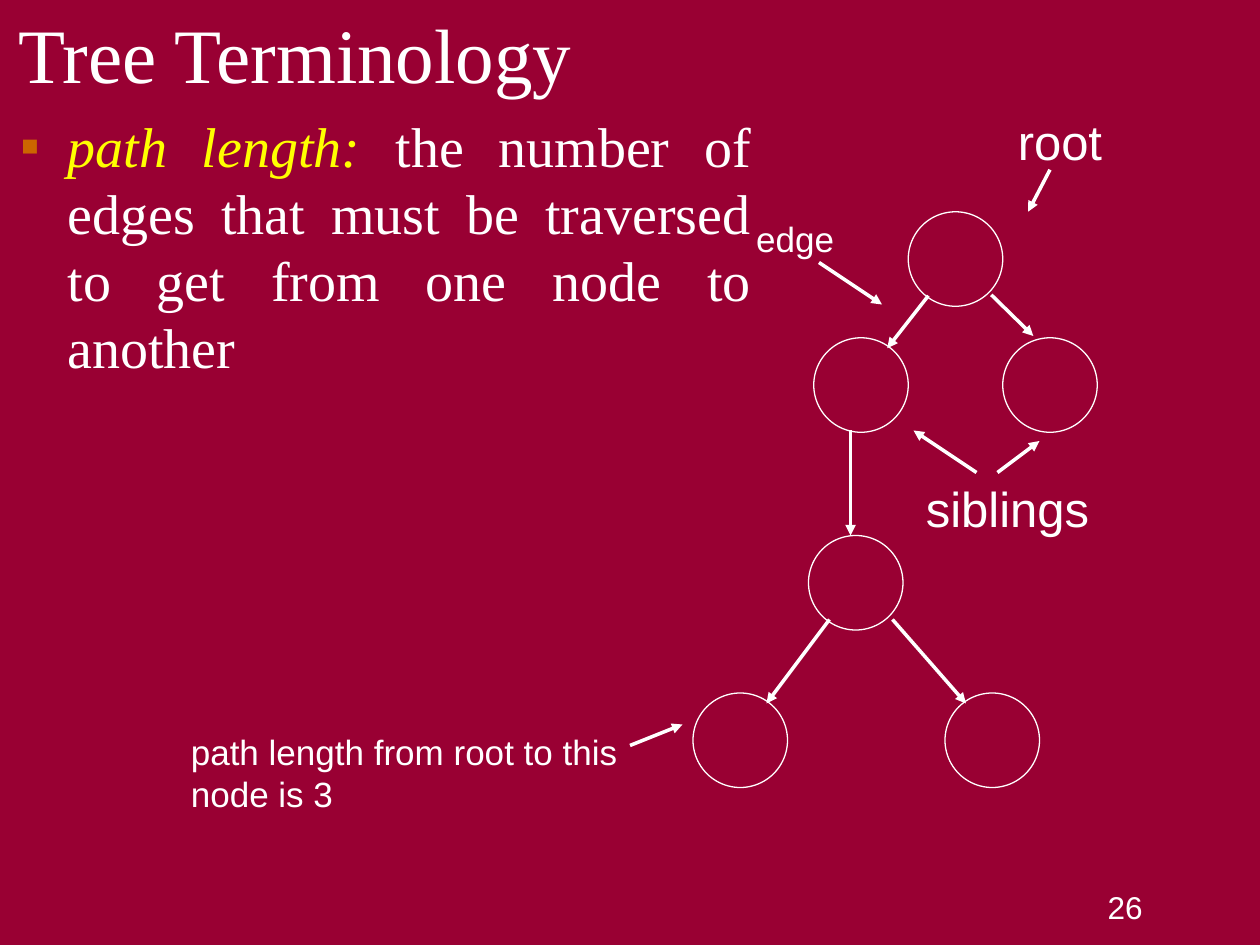
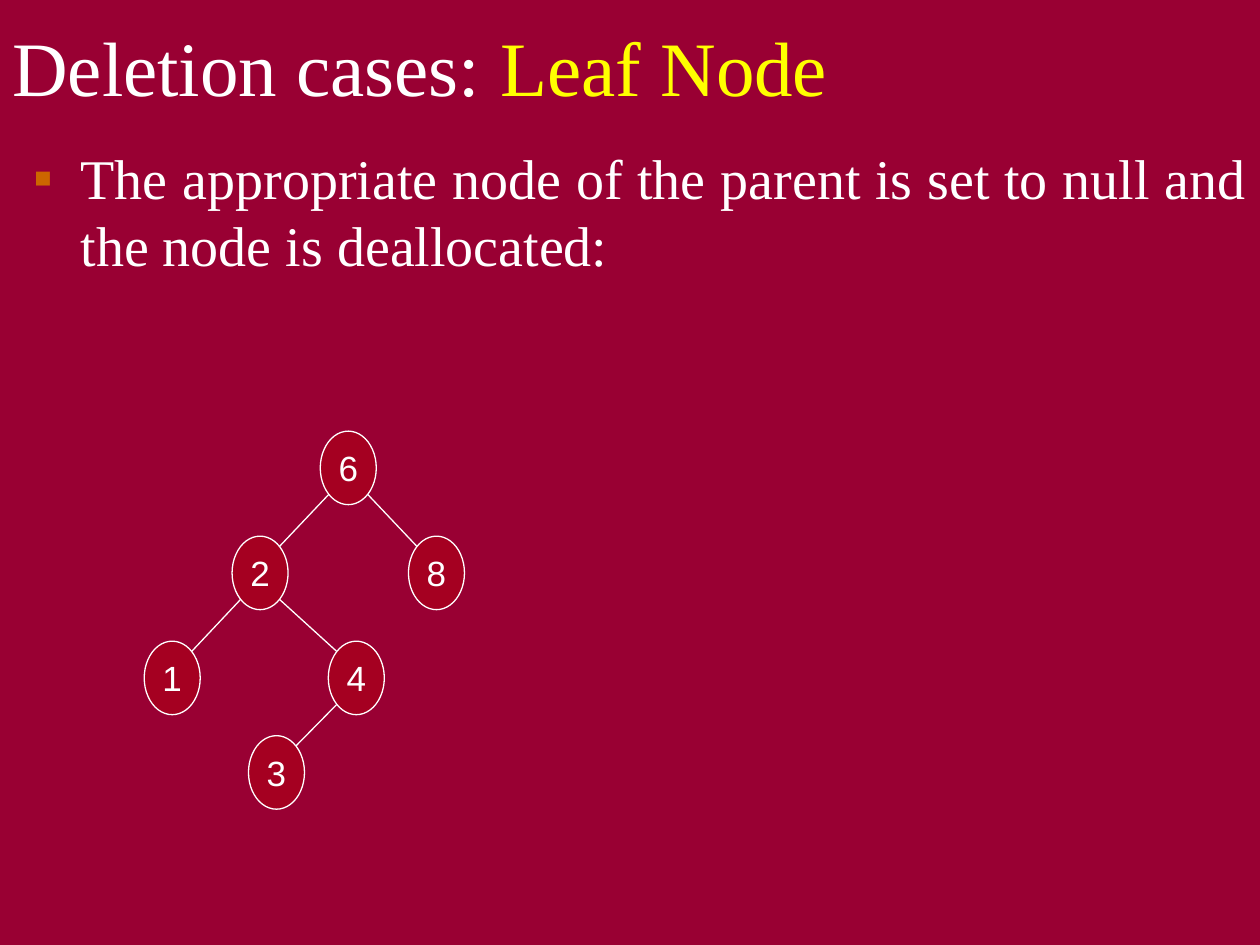
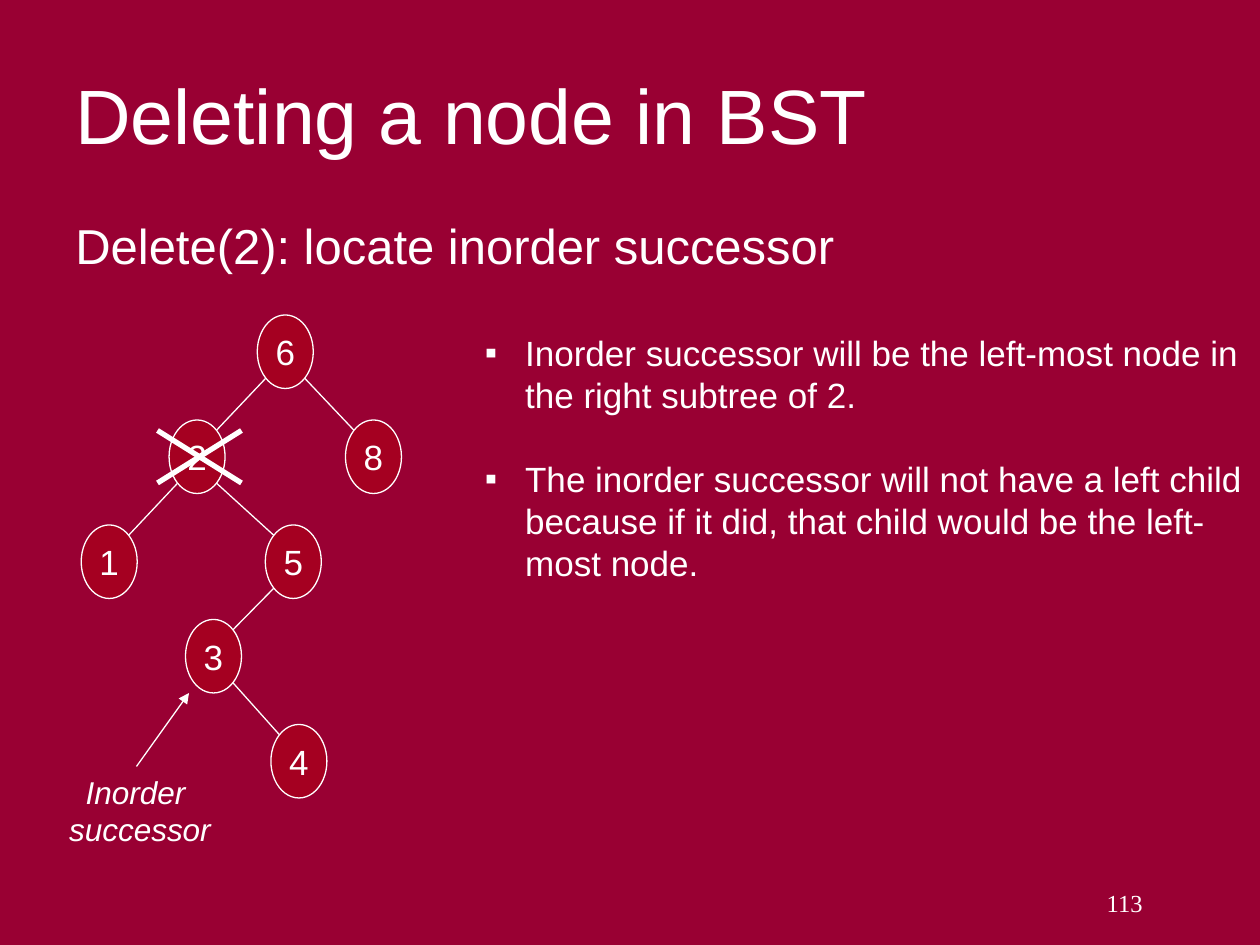
from lxml.etree import SubElement
from pptx import Presentation
from pptx.dml.color import RGBColor
from pptx.enum.shapes import MSO_CONNECTOR, MSO_SHAPE
from pptx.enum.text import MSO_ANCHOR, PP_ALIGN
from pptx.oxml.ns import qn
from pptx.util import Pt

MAROON, RED, WHITE = "990033", "A50021", "FFFFFF"
YELLOW, ORANGE = "FFFF00", "CC6600"
SANS, SERIF = "Arial", "Times New Roman"
NODE_W, NODE_H = 32, 42
EDGE_INSET_X, EDGE_INSET_Y = 5, 6
CIRCLE = 54


def color(value):
    return RGBColor.from_string(value)


def add_bullet(paragraph, bullet_color):
    props = paragraph._p.get_or_add_pPr()
    fill = SubElement(props, qn("a:buClr"))
    SubElement(fill, qn("a:srgbClr"), val=bullet_color)
    SubElement(props, qn("a:buFont"), typeface=SANS)
    SubElement(props, qn("a:buChar"), char="▪")


def write(frame, paragraphs, size=20, font=SANS, align=PP_ALIGN.LEFT, anchor=MSO_ANCHOR.TOP,
          italic=False, hang=0, bullet=None, gap=0, spacing=1.0):
    """Each paragraph is a string or a list of (text, format) runs; "\\n" breaks a line."""
    frame.word_wrap = True
    frame.vertical_anchor = anchor
    if isinstance(paragraphs, str):
        paragraphs = [paragraphs]
    for index, runs in enumerate(paragraphs):
        paragraph = frame.paragraphs[0] if index == 0 else frame.add_paragraph()
        paragraph.alignment = align
        paragraph.line_spacing = spacing
        if index:
            paragraph.space_before = Pt(gap)
        if hang:
            props = paragraph._p.get_or_add_pPr()
            props.set("marL", str(Pt(hang)))
            props.set("indent", str(-Pt(hang)))
        if bullet:
            add_bullet(paragraph, bullet)
        for text, style in [(runs, {})] if isinstance(runs, str) else runs:
            for number, line in enumerate(text.split("\n")):
                if number:
                    paragraph.add_line_break()
                run = paragraph.add_run()
                run.text = line
                run.font.size = Pt(size)
                run.font.name = font
                run.font.italic = style.get("italic", italic)
                run.font.color.rgb = color(style.get("color", WHITE))


def add_text(slide, box, paragraphs, **style):
    label = slide.shapes.add_textbox(*map(Pt, box))
    write(label.text_frame, paragraphs, **style)


def add_title(slide, box, title, font=SERIF):
    add_text(slide, box, [title], size=44, font=font, anchor=MSO_ANCHOR.MIDDLE)


def add_definition(slide, box, runs):
    add_text(slide, box, [runs], size=32, font=SERIF, align=PP_ALIGN.JUSTIFY,
             hang=27, bullet=ORANGE)


def add_page_number(slide, number, **style):
    add_text(slide, (510, 504, 150, 36), number, align=PP_ALIGN.RIGHT, **style)


def add_line(slide, start, end, width=0.75, arrow=False):
    line = slide.shapes.add_connector(MSO_CONNECTOR.STRAIGHT, *map(Pt, (*start, *end)))
    line.line.color.rgb = color(WHITE)
    line.line.width = Pt(width)
    if arrow:
        SubElement(line.line._get_or_add_ln(), qn("a:tailEnd"), type="triangle")
    SubElement(line._element.spPr, qn("a:effectLst"))


def add_ellipse(slide, box, fill=None):
    ellipse = slide.shapes.add_shape(MSO_SHAPE.OVAL, *map(Pt, box))
    ellipse.shadow.inherit = False
    if fill:
        ellipse.fill.solid()
        ellipse.fill.fore_color.rgb = color(fill)
    else:
        ellipse.fill.background()
    ellipse.line.color.rgb = color(WHITE)
    ellipse.line.width = Pt(0.75)
    return ellipse


def add_search_tree(slide, left, top, nodes, edges):
    """Place numbered nodes relative to the root's corner and join parents to children."""
    for parent, child in edges:
        (px, py), (cx, cy) = nodes[parent], nodes[child]
        near, far = EDGE_INSET_X, NODE_W - EDGE_INSET_X
        from_x, to_x = (near, far) if cx < px else (far, near)
        add_line(slide, (left + px + from_x, top + py + NODE_H - EDGE_INSET_Y),
                 (left + cx + to_x, top + cy + EDGE_INSET_Y))
    for key, (x, y) in nodes.items():
        node = add_ellipse(slide, (left + x, top + y, NODE_W, NODE_H), RED)
        frame = node.text_frame
        frame.margin_left = frame.margin_right = frame.margin_top = frame.margin_bottom = 0
        write(frame, key, align=PP_ALIGN.CENTER, anchor=MSO_ANCHOR.MIDDLE)


def add_terminology_tree(slide, left, top):
    # Nodes
    for x, y in [(417, 61), (363, 133), (471, 133), (360, 246), (294, 336), (438, 336)]:
        add_ellipse(slide, (left + x, top + y, CIRCLE, CIRCLE))
    # Tree edges, then pointers from the labels
    arrows = [
        (428.5, 109, 405, 139), (464.5, 108.5, 488.5, 132), (384, 186, 384, 246),
        (372, 294, 336, 342), (408, 294, 450, 342),
        (498, 37, 485.5, 61), (456, 210, 420, 186), (468, 210, 492, 192),
        (366, 90, 402, 114), (258, 366, 288, 354),
    ]
    for x1, y1, x2, y2 in arrows:
        add_line(slide, (left + x1, top + y1), (left + x2, top + y2), width=2, arrow=True)
    # Labels
    labels = [
        ("root", 472.5, 0, 68, 41, 28), ("siblings", 420, 210, 114, 41, 28),
        ("edge", 323, 61, 64, 32, 20),
        ("path length from root to this\nnode is 3", 0, 354, 268, 55, 20),
    ]
    for text, x, y, width, height, size in labels:
        add_text(slide, (left + x, top + y, width, height), text, size=size)


def build_terminology(slide):
    add_page_number(slide, "26", size=18)
    add_title(slide, (3.5, -15, 636, 90), "Tree Terminology")
    add_definition(slide, (4.5, 60, 432, 432), [
        ("path length: ", {"color": YELLOW, "italic": True}),
        ("the number of edges that must be traversed to get from one node to another", {}),
    ])
    add_terminology_tree(slide, 102, 60)


def build_leaf_deletion(slide):
    add_title(slide, (0, 3, 612, 69),
              [("Deletion cases: ", {}), ("Leaf Node", {"color": YELLOW})])
    add_definition(slide, (12, 78.5, 708, 144), [
        ("The appropriate node of the parent is set to null and the node is deallocated:", {}),
    ])
    nodes = {"6": (0, 0), "2": (-50.4, 60), "8": (50.4, 60),
             "1": (-100.6, 120), "4": (4.6, 120), "3": (-41, 174)}
    add_search_tree(slide, 183, 246.4, nodes, ["62", "68", "21", "24", "43"])


def build_successor(slide):
    add_page_number(slide, "113", size=14, font=SERIF)
    add_title(slide, (36, 29, 648, 72), "Deleting a node in BST", font=SANS)
    add_text(slide, (36, 126, 648, 36), "Delete(2): locate inorder successor",
             size=28, hang=27, spacing=0.8)
    nodes = {"6": (0, 0), "2": (-50.4, 60), "8": (50.4, 60), "1": (-100.6, 120),
             "5": (4.6, 120), "3": (-41, 174), "4": (7.8, 234)}
    add_search_tree(slide, 147, 180, nodes, ["62", "68", "21", "25", "53", "34"])
    # Cross over the deleted node
    for start_y, end_y in [(276, 246), (246, 276)]:
        add_line(slide, (90, start_y), (138, end_y), width=3)
    # Successor label
    add_text(slide, (18, 438, 124, 50), "Inorder \nsuccessor", size=18, italic=True,
             align=PP_ALIGN.CENTER)
    add_line(slide, (78, 438), (108, 396), arrow=True)
    # Explanation
    add_text(slide, (270, 186, 450, 151), [
        "Inorder successor will be the left-most node in the right subtree of 2.",
        "The inorder successor will not have a left child because if it did, "
        "that child would be the left-most node.",
    ], hang=23, bullet=WHITE, gap=24)


def main():
    deck = Presentation()
    deck.slide_width, deck.slide_height = Pt(720), Pt(540)
    background = deck.slide_master.background.fill
    background.solid()
    background.fore_color.rgb = color(MAROON)
    for build in (build_terminology, build_leaf_deletion, build_successor):
        build(deck.slides.add_slide(deck.slide_layouts[6]))
    deck.save("out.pptx")


if __name__ == "__main__":
    main()
